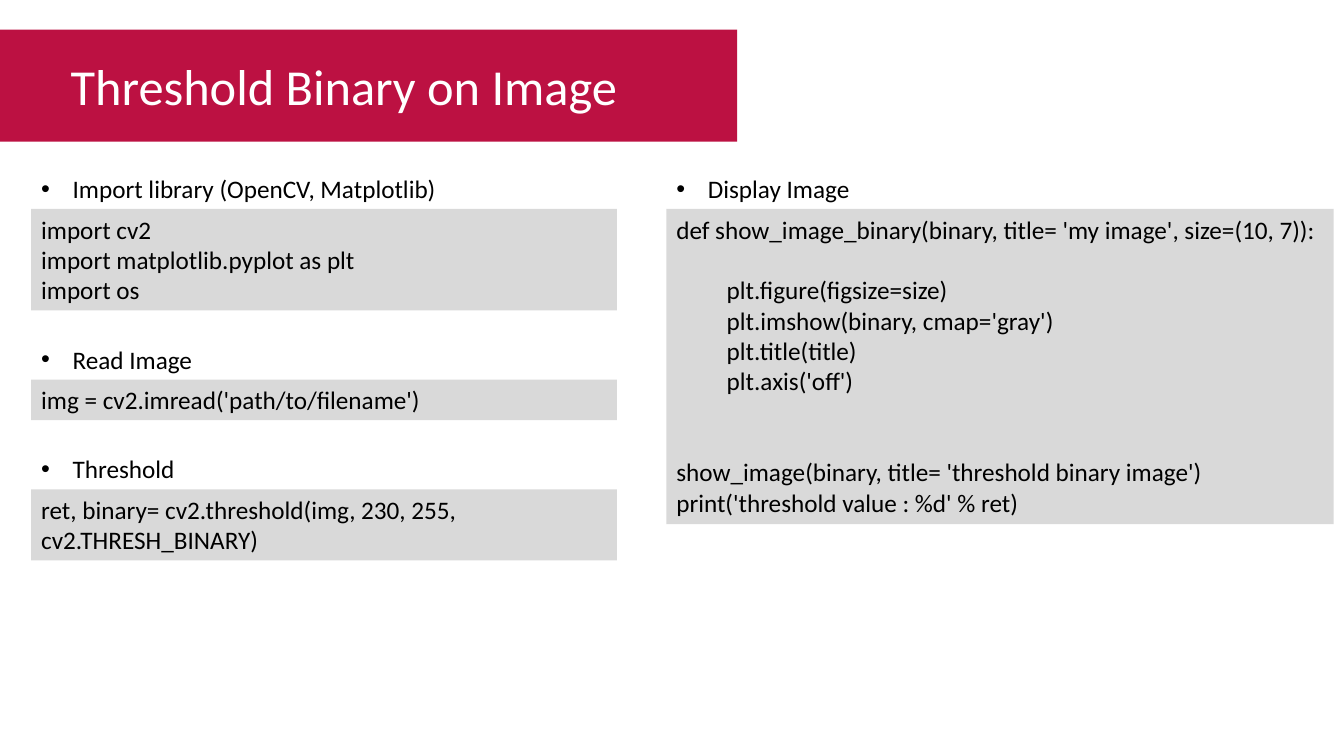
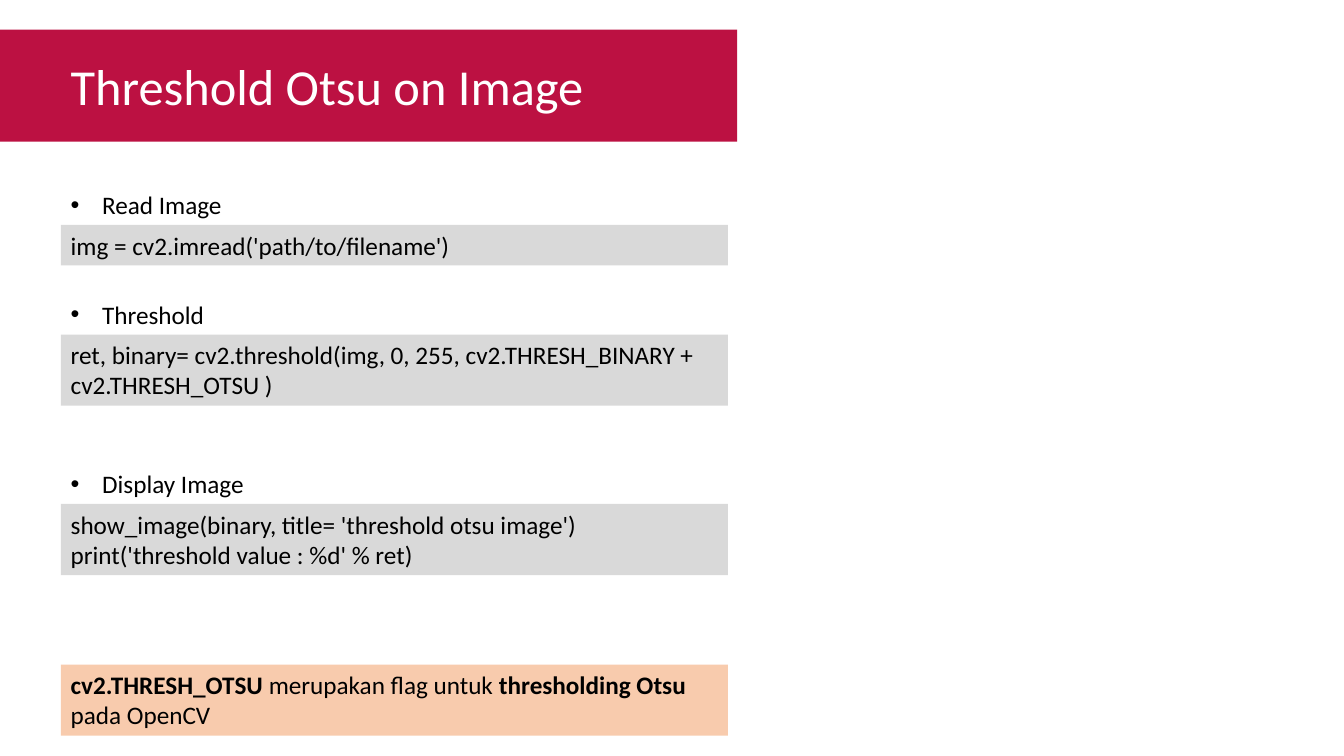
from dataclasses import dataclass

from pptx import Presentation
from pptx import util as u
from pptx.dml.color import RGBColor
from pptx.enum import shapes, text
from pptx.oxml.ns import qn


@dataclass(frozen=True)
class Theme:
    font: str = "Calibri"
    band: str = "BC1142"
    code: str = "D9D9D9"
    note: str = "F8CBAD"
    ink: str = "000000"
    paper: str = "FFFFFF"
    title_size: float = 36
    body_size: float = 18
    line: float = 21.8
    inset_x: float = 7.2
    inset_y: float = 3.6
    bullet_indent: float = 22.5
    code_indent: float = 36


T = Theme()

LABEL_WIDTHS = {
    "Import library (OpenCV, Matplotlib)": 649.5,
    "Read Image": 738.7,
    "Threshold": 720,
    "Display Image": 433.4,
}

READ = [("img = cv2.imread('path/to/filename')", 0, 0)]
PRINT = ("print('threshold value : %d' % ret)", 0, 0)

SLIDES = [
    {
        "title": ("Threshold Binary on Image", 410),
        "sections": [
            ("Import library (OpenCV, Matplotlib)", 22.3, 120.2, 418.3, 3, [
                ("import cv2", 0, 0),
                ("import matplotlib.pyplot as plt", 0, 0),
                ("import os", 0, 0),
            ]),
            ("Read Image", 22.3, 242.2, 418.3, 1, READ),
            ("Threshold", 22.3, 320.6, 418.3, 2, [
                ("ret, binary= cv2.threshold(img, 230, 255, cv2.THRESH_BINARY)", 0, 0),
            ]),
            ("Display Image", 476, 120.2, 476.6, 10, [
                ("def show_image_binary(binary, title= 'my image', size=(10, 7)):", 0, 0),
                ("plt.figure(figsize=size)", 1, 1),
                ("plt.imshow(binary, cmap='gray')", 1, 0),
                ("plt.title(title)", 1, 0),
                ("plt.axis('off')", 1, 0),
                ("show_image(binary, title= 'threshold binary image')", 0, 2),
                PRINT,
            ]),
        ],
        "note": [],
    },
    {
        "title": ("Threshold Otsu on Image", 386),
        "sections": [
            ("Read Image", 43.4, 131.6, 476.6, 1, READ),
            ("Threshold", 43.4, 210, 476.6, 2, [
                ("ret, binary= cv2.threshold(img, 0, 255, "
                 "cv2.THRESH_BINARY + cv2.THRESH_OTSU )", 0, 0),
            ]),
            ("Display Image", 43.4, 331, 476.6, 2, [
                ("show_image(binary, title= 'threshold otsu image')", 0, 0),
                PRINT,
            ]),
        ],
        "note": [
            ("cv2.THRESH_OTSU ", True),
            ("merupakan flag untuk", False),
            (" thresholding Otsu", True),
            (" pada OpenCV", False),
        ],
    },
]


def height(lines):
    return 2 * T.inset_y + lines * T.line


def frame(sp, wrap=True):
    tf = sp.text_frame
    tf.word_wrap = wrap
    tf.vertical_anchor = text.MSO_ANCHOR.TOP
    tf.margin_left = tf.margin_right = u.Pt(T.inset_x)
    tf.margin_top = tf.margin_bottom = u.Pt(T.inset_y)
    return tf


def style(p, size=T.body_size, color=T.ink):
    p.alignment = text.PP_ALIGN.LEFT
    p.font.name = T.font
    p.font.size = u.Pt(size)
    p.font.color.rgb = RGBColor.from_string(color)


def add_box(s, x, y, w, h, fill):
    sp = s.shapes.add_shape(shapes.MSO_SHAPE.RECTANGLE, *map(u.Pt, (x, y, w, h)))
    sp.shadow.inherit = False
    sp.fill.solid()
    sp.fill.fore_color.rgb = RGBColor.from_string(fill)
    sp.line.fill.background()
    return sp


def add_text(s, x, y, w, h, words, size=T.body_size, color=T.ink, wrap=True):
    sp = s.shapes.add_textbox(*map(u.Pt, (x, y, w, h)))
    p = frame(sp, wrap).paragraphs[0]
    p.text = words
    style(p, size, color)
    return p


def add_bullet(p):
    pPr = p._p.get_or_add_pPr()
    pPr.set("marL", str(u.Pt(T.bullet_indent)))
    pPr.set("indent", str(-u.Pt(T.bullet_indent)))
    font = pPr.makeelement(qn("a:buFont"), {"typeface": "Arial"})
    mark = pPr.makeelement(qn("a:buChar"), {"char": "•"})
    pPr.insert_element_before(font, "a:defRPr")
    pPr.insert_element_before(mark, "a:defRPr")


def add_title(s, words, width):
    add_box(s, 0, 21.2, 526.5, 80, T.band)
    add_text(s, 43.4, 36, width, 51, words, T.title_size, T.paper, wrap=False)


def add_section(s, label, x, y, w, lines, code):
    sp = add_box(s, x, y + height(1), w, height(lines), T.code)
    tf = frame(sp)
    for i, (words, level, gap) in enumerate(code):
        p = tf.add_paragraph() if i else tf.paragraphs[0]
        p.text = words
        style(p)
        if level:
            p._p.get_or_add_pPr().set("marL", str(u.Pt(level * T.code_indent)))
        if gap:
            p.space_before = u.Pt(gap * T.line)
    add_bullet(add_text(s, x, y, LABEL_WIDTHS[label], height(1), label))


def add_note(s, runs):
    p = frame(add_box(s, 43.4, 474.7, 476.6, height(2), T.note)).paragraphs[0]
    style(p)
    for words, bold in runs:
        r = p.add_run()
        r.text = words
        r.font.bold = bold


prs = Presentation()
prs.slide_width, prs.slide_height = u.Pt(960), u.Pt(540)
for content in SLIDES:
    s = prs.slides.add_slide(prs.slide_layouts[6])
    add_title(s, *content["title"])
    for section in content["sections"]:
        add_section(s, *section)
    if content["note"]:
        add_note(s, content["note"])
prs.save("out.pptx")
